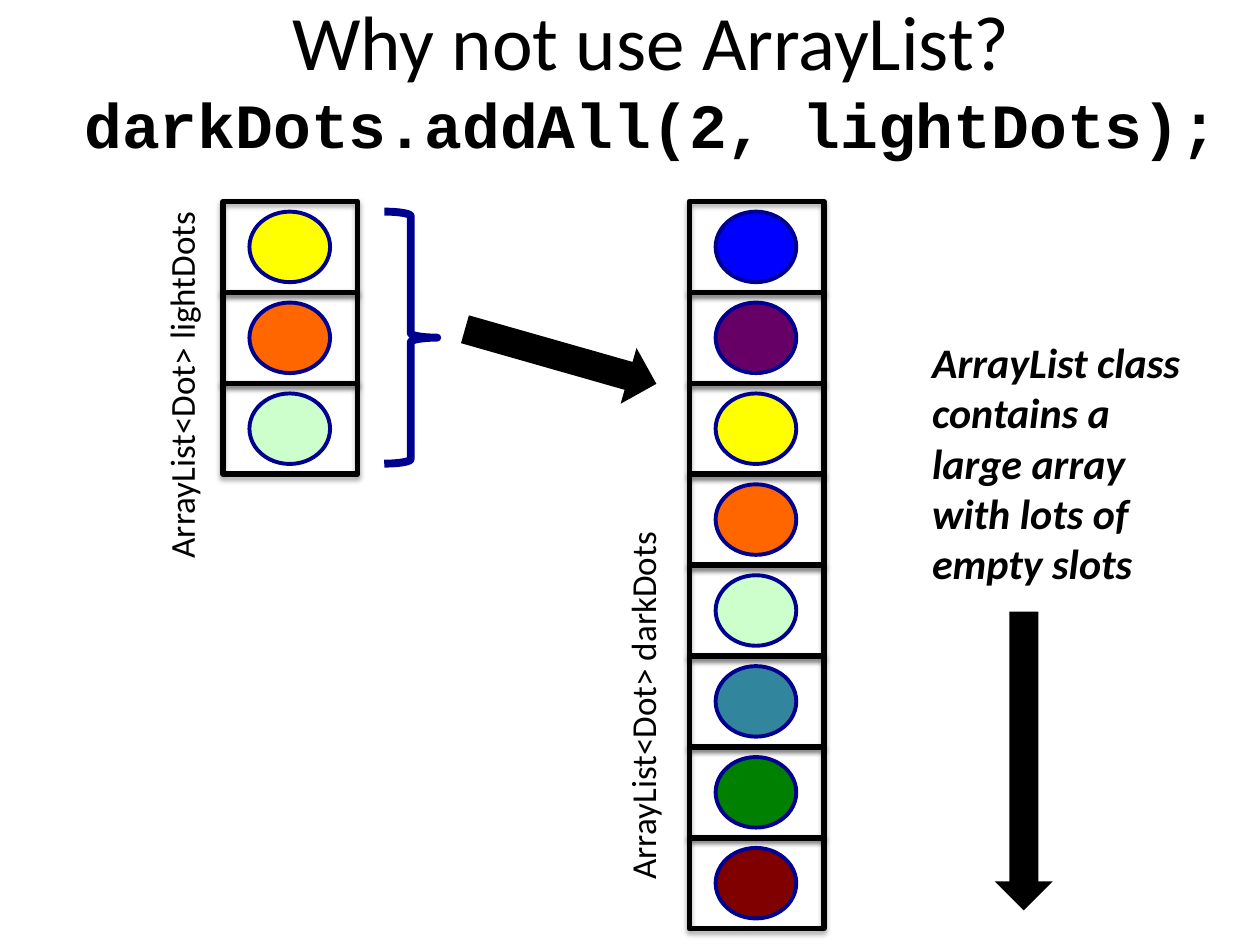
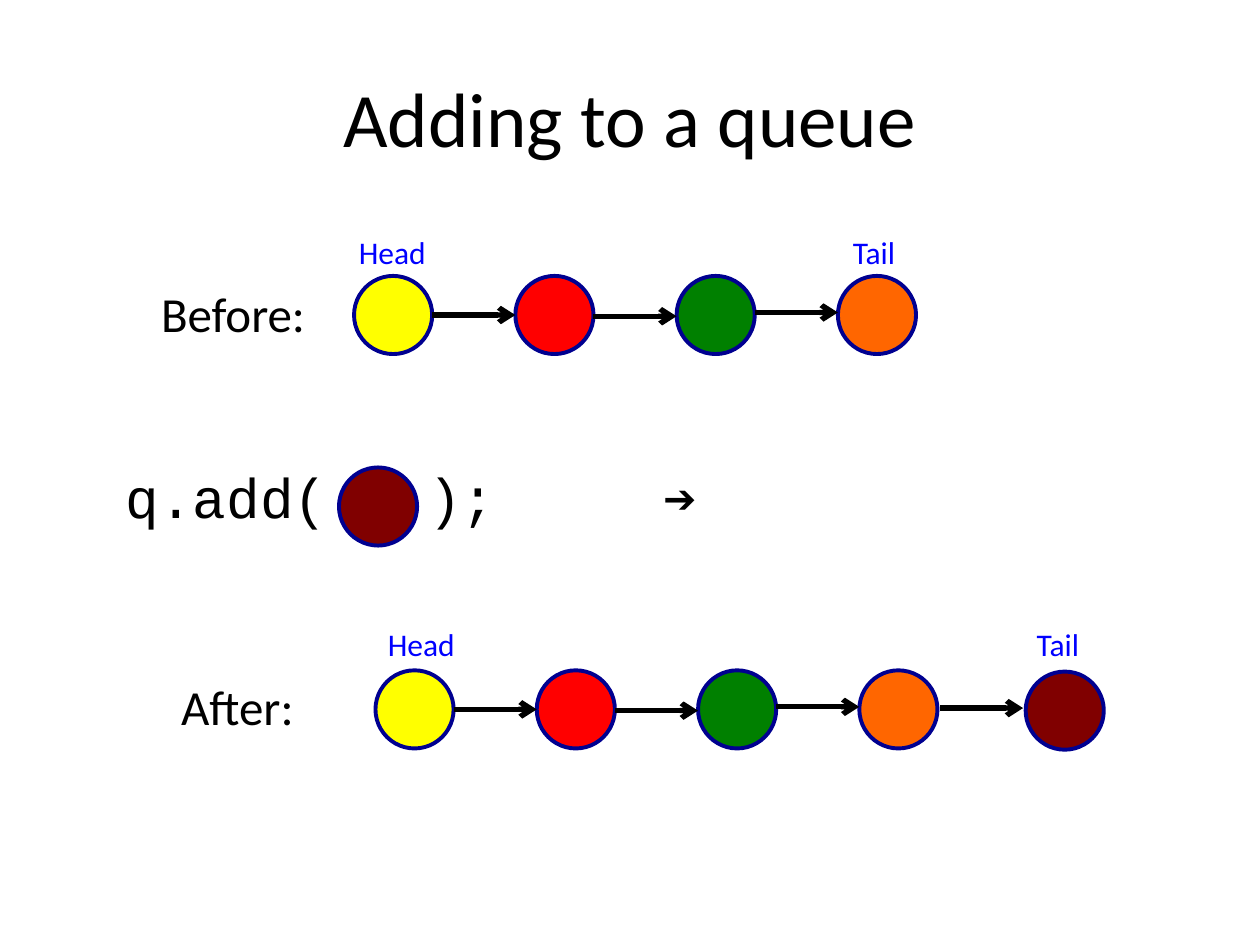
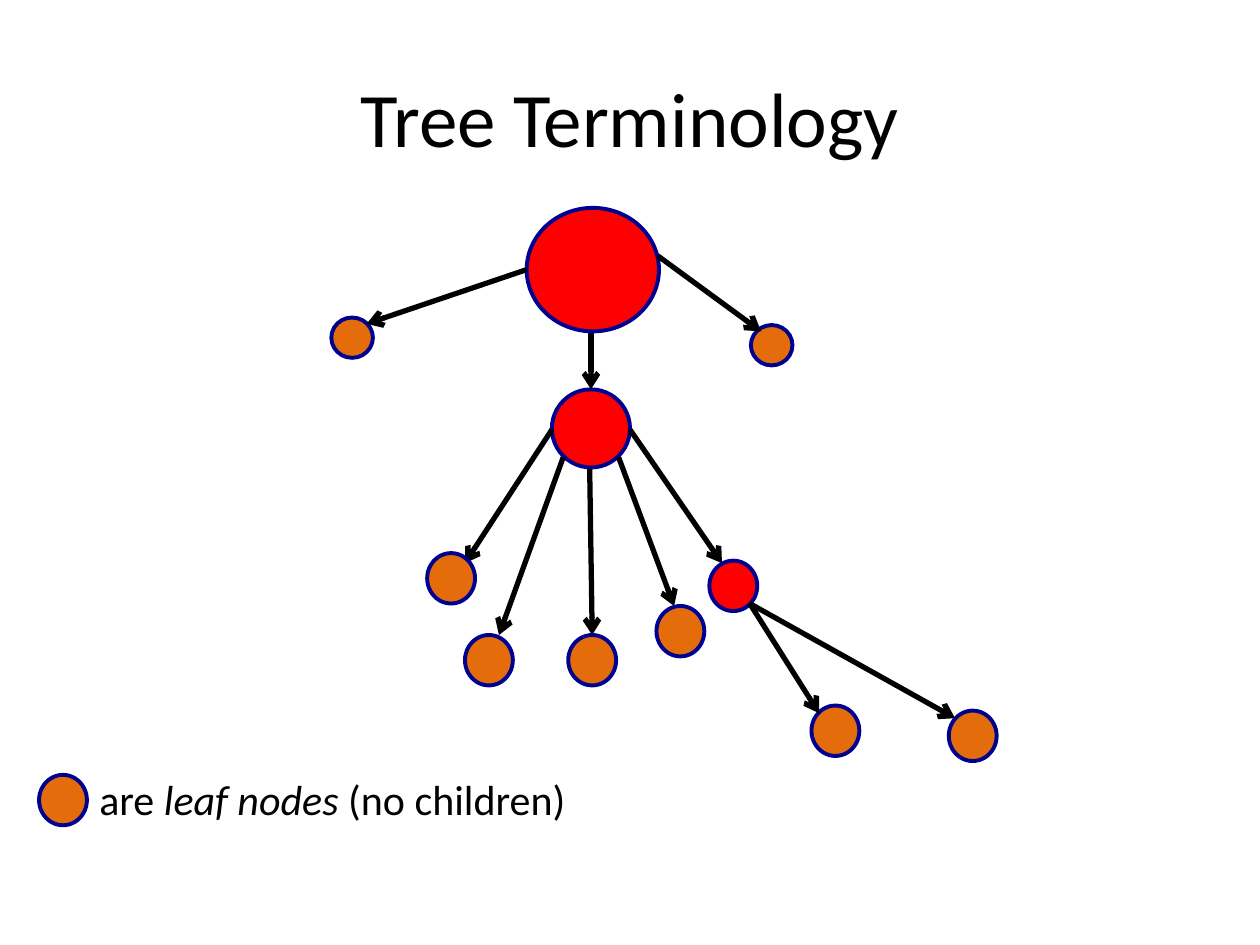
from lxml import etree
from pptx import Presentation
from pptx.dml.color import RGBColor
from pptx.enum.shapes import MSO_CONNECTOR as CONN, MSO_SHAPE as SHAPE
from pptx.enum.text import MSO_ANCHOR as ANCHOR, PP_ALIGN as ALIGN
from pptx.oxml import parse_xml
from pptx.oxml.ns import nsdecls, qn
from pptx.util import Inches, Pt

BLACK, NAVY, BLUE = "000000", "000090", "0000FF"
YELLOW, ORANGE, MINT, GREEN = "FFFF00", "FF6600", "CCFFCC", "008000"
RED, MAROON, PURPLE, TEAL, LEAF = "FF0000", "800000", "660066", "31859C", "E46C0A"
CODE = "Courier New"

SHADOW = f"""<a:effectLst {nsdecls('a')}>
  <a:outerShdw blurRad="{Pt(3.1)}" dist="{Pt(1.8)}" dir="5400000" rotWithShape="0">
    <a:srgbClr val="{BLACK}"><a:alpha val="35000"/></a:srgbClr>
  </a:outerShdw>
</a:effectLst>"""


def rgb(color):
    return RGBColor.from_string(color)


class Deck:
    """Holds the shared style and the slide being drawn."""

    font = {"name": "Calibri", "size": 18, "color": BLACK}
    title_size = 44
    title_at = (0.5, 0.3, 9, 1.25)

    def __init__(self):
        self.prs = Presentation()
        self.prs.slide_width, self.prs.slide_height = Inches(10), Inches(7.5)
        self.s = None

    def new_slide(self):
        self.s = self.prs.slides.add_slide(self.prs.slide_layouts[6])

    def text(self, at, paragraphs, align=ALIGN.LEFT, tabs=(), rotation=0, **fmt):
        """Each paragraph is a string or a list of (text, format) runs."""
        sp = self.s.shapes.add_textbox(*map(Inches, at))
        sp.rotation = rotation
        tf = sp.text_frame
        tf.word_wrap = True
        for i, runs in enumerate(paragraphs):
            p = tf.add_paragraph() if i else tf.paragraphs[0]
            p.alignment = align
            if tabs:
                tab_list = etree.SubElement(p._p.get_or_add_pPr(), qn("a:tabLst"))
                for pos in tabs:
                    etree.SubElement(tab_list, qn("a:tab"), pos=str(Inches(pos)), algn="l")
            for words, extra in [(runs, {})] if isinstance(runs, str) else runs:
                r = p.add_run()
                r.text = words
                for key, value in {**self.font, **fmt, **extra}.items():
                    if key == "color":
                        r.font.color.rgb = rgb(value)
                    else:
                        setattr(r.font, key, Pt(value) if key == "size" else value)
        return tf

    def title(self, *paragraphs, at=title_at):
        tf = self.text(at, paragraphs, ALIGN.CENTER, size=self.title_size)
        tf.vertical_anchor = ANCHOR.MIDDLE
        return tf

    def shape(self, kind, at, fill=None, line=None, width=2.25, rotation=0):
        sp = self.s.shapes.add_shape(kind, *map(Inches, at))
        sp.shadow.inherit = False
        sp.rotation = rotation
        for part, color in ((sp.fill, fill), (sp.line.fill, line)):
            if color:
                part.solid()
                part.fore_color.rgb = rgb(color)
            else:
                part.background()
        if line:
            sp.line.width = Pt(width)
        return sp

    def dot(self, x, y, color, w=0.62, h=0.62):
        self.shape(SHAPE.OVAL, (x, y, w, h), color, NAVY)

    def cell(self, x, y):
        sp = self.shape(SHAPE.RECTANGLE, (x, y, 1.07, 0.72), line=BLACK, width=3)
        props = sp._element.spPr
        props.replace(props.find(qn("a:effectLst")), parse_xml(SHADOW))

    def array(self, x, y, colors):
        pitch = 5.05 / 7
        for i, color in enumerate(colors):
            self.cell(x, y + i * pitch)
            self.dot(x + 0.21, y + 0.08 + i * pitch, color, 0.64, 0.56)

    def arrow(self, *ends):
        c = self.s.shapes.add_connector(CONN.STRAIGHT, *map(Inches, ends))
        c.line.color.rgb = rgb(BLACK)
        c.line.width = Pt(3)
        etree.SubElement(c.line._get_or_add_ln(), qn("a:tailEnd"), type="arrow")
        etree.SubElement(c._element.spPr, qn("a:effectLst"))

    def queue(self, x, y):
        """Draw four linked dots; the arrows sit slightly off the centre line."""
        pitch, size = 1.28, 0.62
        for i, color in enumerate((YELLOW, RED, GREEN, ORANGE)):
            self.dot(x + i * pitch, y, color)
        for i, drop in enumerate((0.31, 0.32, 0.29)):
            start = x + size + i * pitch
            self.arrow(start, y + drop, start + pitch - size, y + drop)


def array_list_slide(d):
    d.new_slide()
    tf = d.title("Why not use ArrayList?",
                 [("darkDots.addAll(2, lightDots);", {"name": CODE, "size": 36, "bold": True})],
                 at=(-0.3, -0.22, 10.94, 2.24))
    tf.margin_bottom = Inches(0.62)

    light = [YELLOW, ORANGE, MINT]
    d.array(1.77, 1.6, light)
    d.array(5.47, 1.6, [BLUE, PURPLE, *light, TEAL, GREEN, MAROON])
    d.text((-0.06, 2.81, 3, 0.44), ["ArrayList<Dot> lightDots"], rotation=270, size=20)
    d.text((3.6, 5.36, 3, 0.44), ["ArrayList<Dot> darkDots"], rotation=270, size=20)

    d.shape(SHAPE.RIGHT_BRACE, (3.05, 1.68, 0.42, 2), line=NAVY, width=4.5)
    d.shape(SHAPE.RIGHT_ARROW, (3.66, 2.6, 1.58, 0.46), BLACK, rotation=15.9)
    d.shape(SHAPE.RIGHT_ARROW, (6.94, 5.81, 2.37, 0.46), BLACK, rotation=90)
    d.text((7.3, 2.62, 2.2, 2.12),
           ["ArrayList class", "contains a large array with lots of empty slots"],
           size=24, bold=True, italic=True)


def queue_slide(d):
    d.new_slide()
    d.title("Adding to a queue")
    d.queue(2.81, 2.19)
    d.text((1.18, 2.2, 1.5, 0.57), ["Before:"], size=28)
    d.text((2.75, 1.8, 4.8, 0.4), ["Head\tTail"], tabs=[3.92], color=BLUE)

    d.text((0.9, 3.62, 5, 0.64), ["q.add(\t);\t➔"], tabs=[2.4, 4.27], name=CODE, size=32)
    d.dot(2.69, 3.71, MAROON)

    d.queue(2.98, 5.32)
    d.dot(8.14, 5.33, MAROON)
    d.arrow(7.46, 5.62, 8.12, 5.62)
    d.text((1.34, 5.32, 1.3, 0.57), ["After:"], size=28)
    d.text((2.98, 4.91, 6, 0.4), ["Head\tTail"], tabs=[5.15], color=BLUE)


def tree_slide(d):
    d.new_slide()
    d.title("Tree Terminology")

    d.dot(4.38, 3.09, RED)
    inner_edges = [(4.68, 3.72, 4.7, 5.04), (4.47, 3.63, 3.96, 5.04),
                   (5, 3.41, 5.73, 4.47), (4.91, 3.63, 5.35, 4.81),
                   (4.38, 3.41, 3.69, 4.47), (4.69, 2.63, 4.69, 3.09)]
    for edge in inner_edges:
        d.arrow(*edge)

    d.dot(4.18, 1.65, RED, 1.05, 0.98)
    d.dot(5.63, 4.45, RED, 0.38, 0.4)
    for x, y in ((5.96, 2.58), (2.63, 2.52)):
        d.dot(x, y, LEAF, 0.33, 0.32)
    legend = (0.31, 6.15)
    for x, y in ((3.39, 4.39), (3.69, 5.04), (4.51, 5.04), (5.21, 4.81),
                 (6.44, 5.6), (7.53, 5.64), legend):
        d.dot(x, y, LEAF, 0.38, 0.4)

    outer_edges = [(5.22, 2.03, 6.04, 2.63), (4.18, 2.14, 2.91, 2.57),
                   (5.95, 4.79, 7.58, 5.7), (5.95, 4.79, 6.5, 5.66)]
    for edge in outer_edges:
        d.arrow(*edge)

    d.text((0.69, 6.09, 6.13, 0.5),
           [[("are ", {}), ("leaf nodes ", {"italic": True}), ("(no children)", {})]],
           size=24)


def main():
    d = Deck()
    for build in (array_list_slide, queue_slide, tree_slide):
        build(d)
    d.prs.save("out.pptx")


if __name__ == "__main__":
    main()
